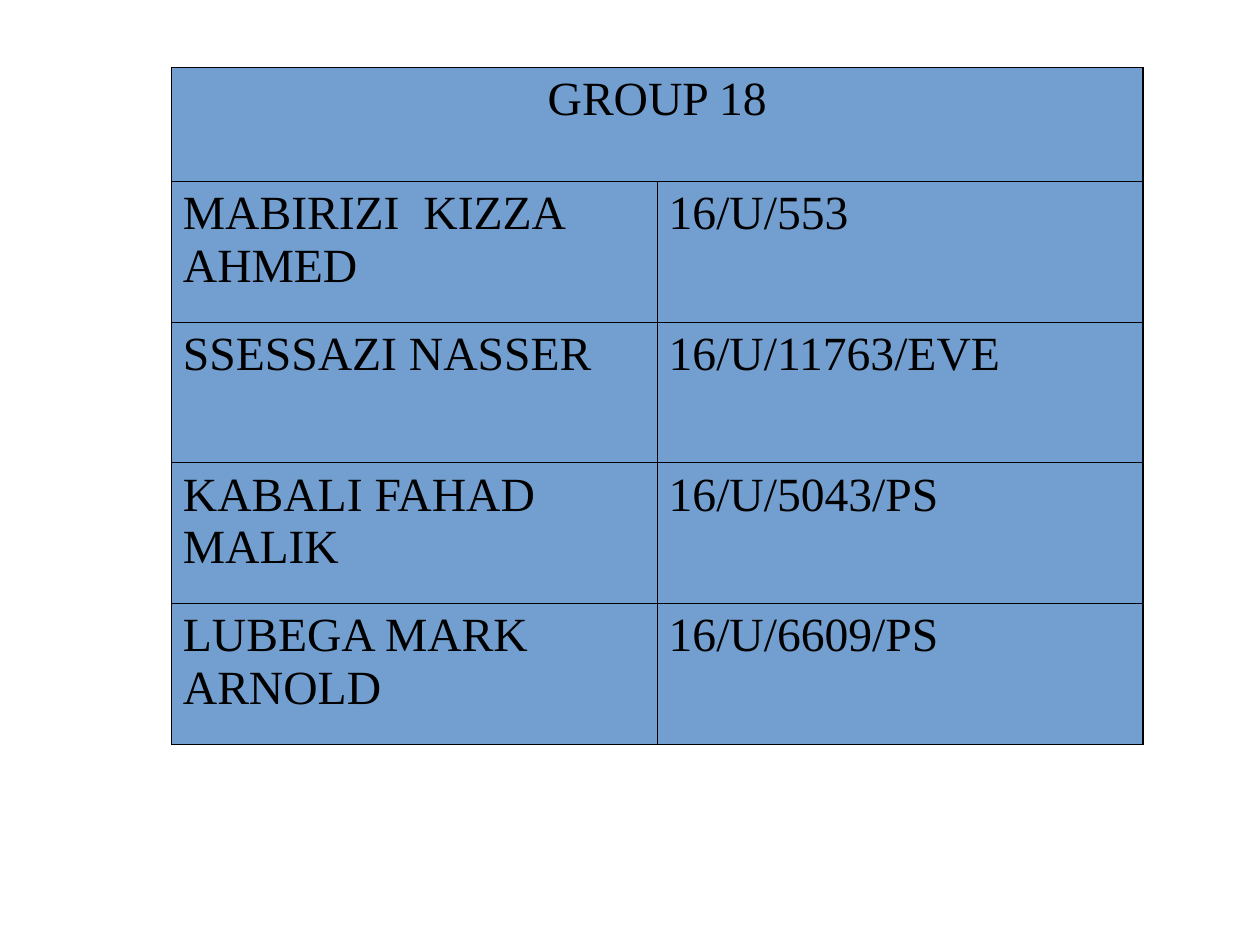
from dataclasses import dataclass

from lxml import etree
from pptx import Presentation
from pptx.dml.color import RGBColor
from pptx.enum.text import PP_ALIGN
from pptx.oxml.ns import qn
from pptx.util import Cm, Inches, Pt

LEFT_ALIGN, CENTER_ALIGN = PP_ALIGN.LEFT, PP_ALIGN.CENTER
COLORS = {"cell": "729FCF", "ink": "000000"}
FONT_NAME, FONT_SIZE = "Times New Roman", Pt(30)
BORDER_WIDTH = Pt(0.75)

# Page grid
SLIDE_WIDTH, SLIDE_HEIGHT = Cm(28), Cm(21)
LEFT, TOP = Inches(1.5), Inches(0.59)
GRID_WIDTH = Inches(8.5)
HEADING_HEIGHT, MEMBER_HEIGHT = Inches(1), Inches(1.23)


@dataclass(frozen=True)
class TableBlock:
    top: int
    row_height: int
    rows: list[tuple[str, ...]]
    alignment: PP_ALIGN


BLOCKS = [
    TableBlock(TOP + HEADING_HEIGHT, MEMBER_HEIGHT, [
        ("MABIRIZI  KIZZA AHMED", "16/U/553"),
        ("SSESSAZI NASSER", "16/U/11763/EVE"),
        ("KABALI FAHAD MALIK", "16/U/5043/PS"),
        ("LUBEGA MARK ARNOLD", "16/U/6609/PS"),
    ], LEFT_ALIGN),
    TableBlock(TOP, HEADING_HEIGHT, [("GROUP 18",)], CENTER_ALIGN),
]


def add_borders(cell) -> None:
    """Line all four sides; must run before the cell is filled."""
    properties = cell._tc.get_or_add_tcPr()
    for side in ("lnL", "lnR", "lnT", "lnB"):
        line = etree.SubElement(properties, qn(f"a:{side}"), w=str(BORDER_WIDTH))
        fill = etree.SubElement(line, qn("a:solidFill"))
        etree.SubElement(fill, qn("a:srgbClr"), val=COLORS["ink"])


def format_cell(cell, text: str, alignment: PP_ALIGN) -> None:
    add_borders(cell)
    cell.fill.solid()
    cell.fill.fore_color.rgb = RGBColor.from_string(COLORS["cell"])
    cell.text = text
    paragraph = cell.text_frame.paragraphs[0]
    paragraph.alignment = alignment
    paragraph.font.name = FONT_NAME
    paragraph.font.size = FONT_SIZE
    paragraph.font.color.rgb = RGBColor.from_string(COLORS["ink"])


def add_table_block(slide, block: TableBlock) -> None:
    row_count, column_count = len(block.rows), len(block.rows[0])
    table = slide.shapes.add_table(
        row_count, column_count, LEFT, block.top,
        GRID_WIDTH, block.row_height * row_count).table
    table.first_row = table.horz_banding = False
    for row_index, texts in enumerate(block.rows):
        for column_index, text in enumerate(texts):
            format_cell(table.cell(row_index, column_index), text, block.alignment)


# Slide
presentation = Presentation()
presentation.slide_width, presentation.slide_height = SLIDE_WIDTH, SLIDE_HEIGHT
slide = presentation.slides.add_slide(presentation.slide_layouts[6])

# Member list and group heading
for block in BLOCKS:
    add_table_block(slide, block)

presentation.save("out.pptx")
